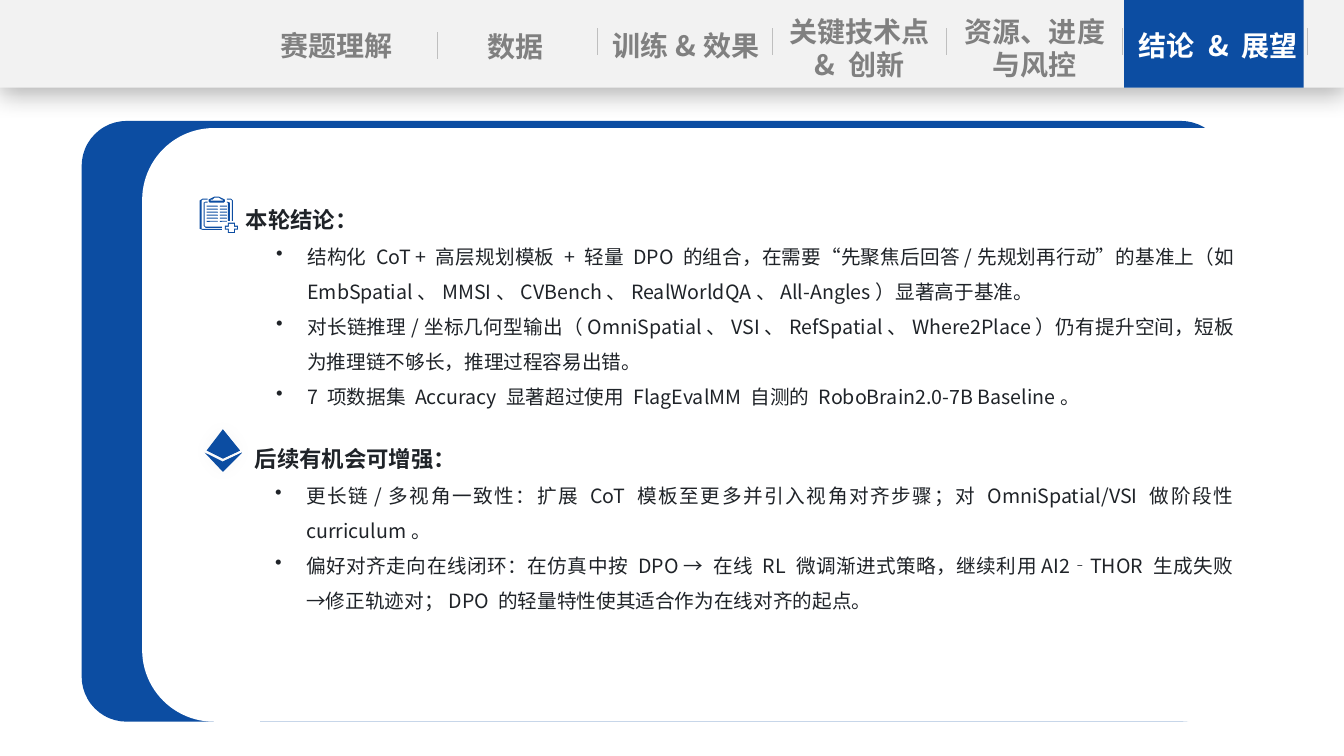
"""Build the conclusions and outlook slide with its section tabs."""
import lxml.etree
import pptx
import pptx.dml.color
import pptx.enum.shapes
import pptx.enum.text
import pptx.oxml.ns
import pptx.util

Inches = pptx.util.Inches
Pt = pptx.util.Pt
qn = pptx.oxml.ns.qn
ALIGN = pptx.enum.text.PP_ALIGN
SHAPE = pptx.enum.shapes.MSO_SHAPE

FONT = "Noto Sans CJK SC"
COLORS = {"blue": "0C4DA2", "bar": "F2F2F2", "tab": "808080", "divider": "BFBFBF",
          "ink": "1F2328", "white": "FFFFFF", "black": "000000"}
STYLES = {
    "tab": {"size": 20, "bold": True, "align": ALIGN.CENTER, "spacing": 24},
    "heading": {"size": 16, "bold": True, "align": ALIGN.JUSTIFY, "spacing": 29},
    "point": {"size": 14, "bold": False, "align": ALIGN.JUSTIFY, "spacing": 25},
}

BAR_HEIGHT = 0.87
TABS = [
    ("赛题理解", (2.5, 0.23, 1.68, 0.78), "tab"),
    ("数据", (4.31, 0.24, 1.61, 0.78), "tab"),
    ("训练&效果", (6, 0.23, 1.61, 0.44), "tab"),
    ("关键技术点 & 创新", (7.72, 0.09, 1.61, 1.11), "tab"),
    ("资源、进度与风控", (9.46, 0.09, 1.61, 1.11), "tab"),
    ("结论 & 展望", (11.28, 0.23, 1.61, 0.78), "white"),
]
DIVIDER_LENGTH = 0.27
DIVIDERS = [(4.34, 0.32), (5.93, 0.28), (7.66, 0.28), (9.39, 0.28), (11.13, 0.28), (12.97, 0.28)]
PANELS = [((0.81, 1.2, 11.35, 5.96), "blue", 0.075), ((1.41, 1.27, 11.35, 5.89), "white", 0.121)]
SECTIONS = [
    ("后续有机会可增强：", 0.3, (2.13, 4.23, 10.2, 1.92), [
        "更长链/多视角⼀致性：扩展 CoT 模板至更多并引入视角对齐步骤；对 OmniSpatial/VSI 做阶段性 curriculum。",
        "偏好对齐走向在线闭环：在仿真中按 DPO → 在线 RL 微调渐进式策略，继续利用AI2‐THOR 生成失败→修正轨迹对；DPO 的轻量特性使其适合作为在线对齐的起点。",
    ]),
    ("本轮结论：", 0.2, (2.14, 1.86, 10.2, 2.27), [
        "结构化 CoT + 高层规划模板 + 轻量 DPO 的组合，在需要“先聚焦后回答/先规划再行动”的基准上（如 EmbSpatial、MMSI、CVBench、RealWorldQA、All-Angles）显著高于基准。",
        "对长链推理/坐标几何型输出（OmniSpatial、VSI、RefSpatial、Where2Place）仍有提升空间，短板为推理链不够长，推理过程容易出错。",
        "7 项数据集 Accuracy 显著超过使用 FlagEvalMM 自测的 RoboBrain2.0-7B Baseline。",
    ]),
]

PAGE_LEFT = [(2.2, 2.26), (2.04, 2.26), (2.02, 2.24), (2.02, 2.01), (2.04, 2), (2.06, 2),
             (2.06, 2.01), (2.03, 2.01), (2.03, 2.24), (2.04, 2.25), (2.2, 2.25)]
PAGE_RIGHT = [(2.28, 2.19), (2.26, 2.19), (2.26, 2.01), (2.25, 2.01), (2.25, 2), (2.28, 2.01)]
CLIP_OUTER = [(2.22, 2.01), (2.08, 2.01), (2.07, 2), (2.07, 1.98), (2.09, 1.97), (2.13, 1.95),
              (2.17, 1.95), (2.21, 1.97), (2.23, 1.98), (2.23, 2)]
CLIP_INNER = [(2.09, 1.99), (2.21, 1.99), (2.21, 1.98), (2.2, 1.98), (2.17, 1.96),
              (2.13, 1.96), (2.11, 1.98), (2.09, 1.98)]
BOARD_RIGHT = [(2.31, 2.19), (2.3, 2.19), (2.3, 1.99), (2.29, 1.98), (2.25, 1.98), (2.25, 1.97),
               (2.29, 1.97), (2.31, 1.99)]
BOARD_LEFT = [(2.2, 2.28), (2.01, 2.28), (1.98, 2.27), (1.98, 1.99), (2.01, 1.97), (2.06, 1.97),
              (2.06, 1.98), (2.01, 1.98), (2, 1.99), (2, 2.27), (2.2, 2.27)]
CLIPBOARD = [[PAGE_LEFT], [PAGE_RIGHT], [CLIP_OUTER, CLIP_INNER], [BOARD_RIGHT], [BOARD_LEFT]]
PLUS_LAYERS = [((2.23, 2.21, 0.13, 0.1), "blue", 0.3), ((2.24, 2.22, 0.11, 0.08), "white", 0.38)]
WRITING_COLUMNS = [(2.18, 0.07), (2.05, 0.11)]
WRITING_TOP, WRITING_STEP, WRITING_ROWS = 2.04, 0.03, 6
DIAMOND_UPPER = [(2.21, 4.26), (2.05, 4.47), (2.21, 4.55), (2.38, 4.47)]
DIAMOND_LOWER = [(2.03, 4.49), (2.21, 4.68), (2.4, 4.49), (2.21, 4.58)]


def rgb(name):
    return pptx.dml.color.RGBColor.from_string(COLORS[name])


def paint(shape, color):
    shape.shadow.inherit = False
    shape.fill.solid()
    shape.fill.fore_color.rgb = rgb(color)
    shape.line.fill.background()
    return shape


def add_box(slide, kind, box, color, adjustment=None):
    shape = slide.shapes.add_shape(kind, *map(Inches, box))
    if adjustment is not None:
        shape.adjustments[0] = adjustment
    return paint(shape, color)


def add_outline(slide, contours, color):
    builder = slide.shapes.build_freeform(*map(Inches, contours[0][0]))
    for contour in contours:
        points = [(Inches(x), Inches(y)) for x, y in contour]
        if contour is not contours[0]:
            builder.move_to(*points[0])
        builder.add_line_segments(points[1:], close=True)
    return paint(builder.convert_to_shape(), color)


def add_shadow(shape, opacity, blur, distance, angle):
    effects = shape._element.spPr.find(qn("a:effectLst"))
    shadow = lxml.etree.SubElement(
        effects, qn("a:outerShdw"), blurRad=str(Pt(blur)), dist=str(Pt(distance)),
        dir=str(angle * 60000), algn="ctr", rotWithShape="0")
    color = lxml.etree.SubElement(shadow, qn("a:srgbClr"), val=COLORS["black"])
    lxml.etree.SubElement(color, qn("a:alpha"), val=str(opacity * 1000))


def add_frame(slide, box, side_inset):
    frame = slide.shapes.add_textbox(*map(Inches, box)).text_frame
    frame.word_wrap = True
    frame.margin_left = frame.margin_right = Inches(side_inset)
    return frame


def write(paragraph, text, style_name, color):
    style = STYLES[style_name]
    paragraph.alignment = style["align"]
    paragraph.line_spacing = Pt(style["spacing"])
    run = paragraph.add_run()
    run.text = text
    run.font.size = Pt(style["size"])
    run.font.bold = style["bold"]
    run.font.color.rgb = rgb(color)
    run.font.name = FONT
    lxml.etree.SubElement(run._r.get_or_add_rPr(), qn("a:ea"), typeface=FONT)


def indent(paragraph, margin, first=0, bullet=None):
    properties = paragraph._p.get_or_add_pPr()
    properties.set("marL", str(Inches(margin)))
    properties.set("indent", str(Inches(first)))
    if bullet:
        lxml.etree.SubElement(properties, qn("a:buChar"), char=bullet)


def add_navigation(slide):
    bar = add_box(slide, SHAPE.RECTANGLE, (0, 0, 13.33, BAR_HEIGHT), "bar")
    add_shadow(bar, opacity=29, blur=18, distance=4, angle=90)
    add_box(slide, SHAPE.RECTANGLE, (11.15, 0, 1.78, BAR_HEIGHT), "blue")
    for text, box, color in TABS:
        write(add_frame(slide, box, 0).paragraphs[0], text, "tab", color)
    for x, top in DIVIDERS:
        divider = slide.shapes.add_connector(
            pptx.enum.shapes.MSO_CONNECTOR.STRAIGHT,
            *map(Inches, (x, top, x, top + DIVIDER_LENGTH)))
        divider.line.color.rgb = rgb("divider")
        divider.line.width = Pt(0.75)
        lxml.etree.SubElement(divider._element.spPr, qn("a:effectLst"))


def add_section(slide, heading, heading_indent, box, points):
    frame = add_frame(slide, box, 0.1)
    indent(frame.paragraphs[0], heading_indent)
    write(frame.paragraphs[0], heading, "heading", "ink")
    for point in points:
        paragraph = frame.add_paragraph()
        paragraph.level = 1
        indent(paragraph, 0.81, -0.31, "•")
        write(paragraph, point, "point", "ink")


def add_clipboard(slide):
    for box, color, adjustment in PLUS_LAYERS:
        add_box(slide, SHAPE.CROSS, box, color, adjustment)
    for contours in CLIPBOARD:
        add_outline(slide, contours, "blue")
    for left, width in WRITING_COLUMNS:
        for row in range(WRITING_ROWS):
            top = WRITING_TOP + WRITING_STEP * row
            add_box(slide, SHAPE.ROUNDED_RECTANGLE, (left, top, width, 0.01), "blue")


def add_diamond(slide):
    diamond = add_outline(slide, [DIAMOND_UPPER, DIAMOND_LOWER], "blue")
    add_shadow(diamond, opacity=3, blur=12, distance=0, angle=0)
    right_faces = [DIAMOND_LOWER[1:], DIAMOND_UPPER[2:] + DIAMOND_UPPER[:1]]
    add_outline(slide, right_faces, "blue")


def main():
    presentation = pptx.Presentation()
    presentation.slide_width, presentation.slide_height = Inches(13.33), Inches(7.5)
    slide = presentation.slides.add_slide(presentation.slide_layouts[6])
    add_navigation(slide)
    for box, color, radius in PANELS:
        add_box(slide, SHAPE.ROUNDED_RECTANGLE, box, color, radius)
    for section in SECTIONS:
        add_section(slide, *section)
    add_clipboard(slide)
    add_diamond(slide)
    presentation.save("out.pptx")


if __name__ == "__main__":
    main()
